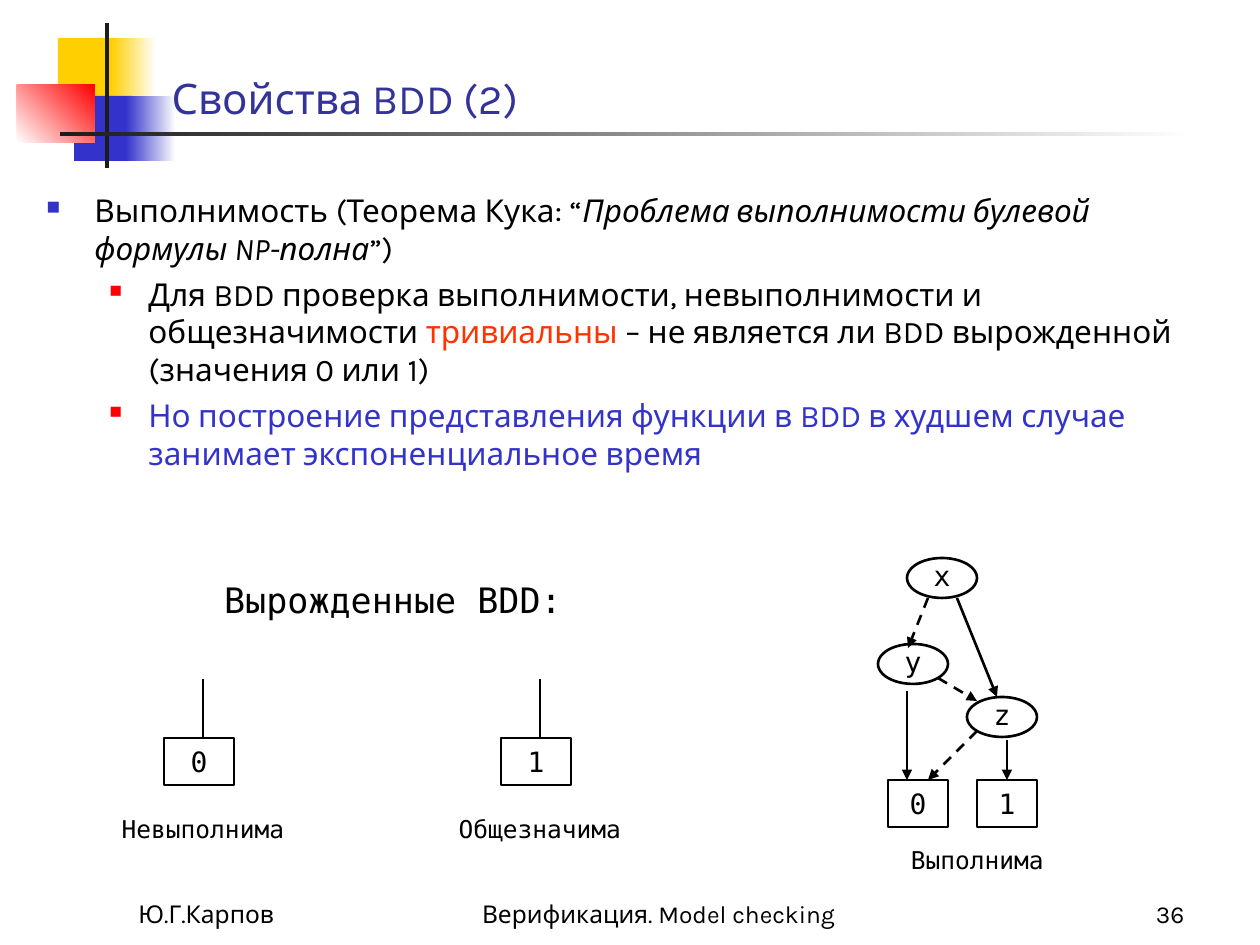
from lxml import etree
from pptx import Presentation
from pptx.dml.color import RGBColor
from pptx.enum.dml import MSO_LINE
from pptx.enum.shapes import MSO_CONNECTOR, MSO_SHAPE
from pptx.enum.text import MSO_ANCHOR, MSO_AUTO_SIZE, PP_ALIGN
from pptx.oxml.ns import qn
from pptx.util import Pt

PX = 914400 / 126
RECTANGLE, OVAL = MSO_SHAPE.RECTANGLE, MSO_SHAPE.OVAL
STRAIGHT, DASH = MSO_CONNECTOR.STRAIGHT, MSO_LINE.DASH
LEFT, CENTER, RIGHT = PP_ALIGN.LEFT, PP_ALIGN.CENTER, PP_ALIGN.RIGHT
TOP, BOTTOM = MSO_ANCHOR.TOP, MSO_ANCHOR.BOTTOM
NO_AUTOFIT = MSO_AUTO_SIZE.NONE

BLACK = RGBColor(0x00, 0x00, 0x00)
WHITE = RGBColor(0xFF, 0xFF, 0xFF)
CHARCOAL = RGBColor(0x1C, 0x1C, 0x1C)
YELLOW = RGBColor(0xFF, 0xCF, 0x01)
BLUE = RGBColor(0x33, 0x33, 0xCC)
NAVY = RGBColor(0x33, 0x33, 0x99)
RED = RGBColor(0xFF, 0x00, 0x00)
ORANGE = RGBColor(0xFF, 0x33, 0x00)

BODY_FONT, DIAGRAM_FONT = "Karla", "DejaVu Sans Mono"
LINE_WIDTH = Pt(1.5)
NODE_WIDTH, OVAL_HEIGHT, BOX_HEIGHT = 70, 40, 47


def px(*lengths):
    return [round(length * PX) for length in lengths]


def add_run(paragraph, text, size, font, color=BLACK, italic=False):
    run = paragraph.add_run()
    run.text = text
    run.font.size = Pt(size)
    run.font.name = font
    run.font.color.rgb = color
    run.font.italic = italic


def set_frame(shape, anchor):
    frame = shape.text_frame
    frame.word_wrap = True
    frame.auto_size = NO_AUTOFIT
    frame.vertical_anchor = anchor
    return frame


def write_text(shape, text, size, font, color=BLACK, align=CENTER, anchor=TOP):
    paragraph = set_frame(shape, anchor).paragraphs[0]
    paragraph.alignment = align
    add_run(paragraph, text, size, font, color)


def add_label(slide, box, text, size, font=DIAGRAM_FONT, align=CENTER, anchor=TOP):
    shape = slide.shapes.add_textbox(*px(*box))
    write_text(shape, text, size, font, align=align, anchor=anchor)


def add_block(slide, box, colors, angle=0):
    """Decorative block: one colour is solid, two make a gradient."""
    shape = slide.shapes.add_shape(RECTANGLE, *px(*box))
    shape.shadow.inherit = False
    shape.line.fill.background()
    if len(colors) == 1:
        shape.fill.solid()
        shape.fill.fore_color.rgb = colors[0]
    else:
        shape.fill.gradient()
        shape.fill.gradient_angle = angle
        for stop, color in zip(shape.fill.gradient_stops, colors):
            stop.color.rgb = color


def add_outline(slide, kind, box):
    shape = slide.shapes.add_shape(kind, *px(*box))
    shape.shadow.inherit = False
    shape.fill.background()
    shape.line.color.rgb = BLACK
    shape.line.width = LINE_WIDTH
    return shape


def add_terminal(slide, left, top, width, text):
    shape = add_outline(slide, RECTANGLE, (left, top, width, BOX_HEIGHT))
    write_text(shape, text, 16, DIAGRAM_FONT)


def add_variable(slide, left, top, text):
    add_outline(slide, OVAL, (left, top, NODE_WIDTH, OVAL_HEIGHT))
    add_label(slide, (left, top - 6, NODE_WIDTH, BOX_HEIGHT), text, 16)


def add_edge(slide, points, dashed=False, arrow=True):
    edge = slide.shapes.add_connector(STRAIGHT, *px(*points))
    edge.line.color.rgb = BLACK
    edge.line.width = LINE_WIDTH
    if dashed:
        edge.line.dash_style = DASH
    if arrow:
        line = edge.line._get_or_add_ln()
        etree.SubElement(line, qn("a:tailEnd"), type="triangle")
    etree.SubElement(edge._element.spPr, qn("a:effectLst"))


def add_bullet(paragraph, color, percent, margin, indent):
    properties = paragraph._p.get_or_add_pPr()
    properties.set("marL", str(px(margin)[0]))
    properties.set("indent", str(px(indent)[0]))
    bullet_color = etree.SubElement(properties, qn("a:buClr"))
    etree.SubElement(bullet_color, qn("a:srgbClr"), val=str(color))
    etree.SubElement(properties, qn("a:buSzPct"), val=str(percent * 1000))
    etree.SubElement(properties, qn("a:buChar"), char="■")


def add_body(slide, box, items):
    frame = set_frame(slide.shapes.add_textbox(*px(*box)), TOP)
    for index, (level, runs) in enumerate(items):
        paragraph = frame.add_paragraph() if index else frame.paragraphs[0]
        paragraph.level = level
        if level:
            add_bullet(paragraph, RED, 55, 102, -39)
        else:
            add_bullet(paragraph, BLUE, 60, 48, -48)
        if index:
            paragraph.space_before = Pt(4.5)
        for text, color, italic in runs:
            add_run(paragraph, text, 18, BODY_FONT, color, italic)


def add_degenerate_diagram(slide, left, value, caption):
    add_terminal(slide, left, 738, NODE_WIDTH, value)
    add_edge(slide, (left + 39, 679, left + 39, 738), arrow=False)
    add_label(slide, (left - 60, 808, 198, 43), caption, 14)


def add_decision_diagram(slide):
    for left, top, name in ((907, 558, "х"), (878, 644, "y"), (967, 697, "z")):
        add_variable(slide, left, top, name)
    for left, value in ((888, "0"), (977, "1")):
        add_terminal(slide, left, 780, 60, value)
    for points, dashed in (
        ((928, 598, 908, 648), True),
        ((957, 598, 997, 697), False),
        ((938, 678, 977, 701), True),
        ((1007, 740, 1007, 780), False),
        ((907, 691, 907, 780), False),
        ((977, 731, 928, 780), True),
    ):
        add_edge(slide, points, dashed)
    add_label(slide, (888, 839, 179, 43), "Выполнима", 14)


def main():
    presentation = Presentation()
    presentation.slide_width, presentation.slide_height = px(1260, 945)
    slide = presentation.slides.add_slide(presentation.slide_layouts[5])

    # Corner decoration and rule
    add_block(slide, (58, 38, 60, 66), [YELLOW])
    add_block(slide, (111, 38, 45, 66), [YELLOW, WHITE])
    add_block(slide, (74, 96, 58, 65), [BLUE])
    add_block(slide, (126, 96, 50, 65), [BLUE, WHITE])
    add_block(slide, (17, 85, 78, 58), [WHITE, RED], angle=45)
    add_block(slide, (105, 23, 4, 145), [CHARCOAL])
    add_block(slide, (60, 132, 1134, 4), [CHARCOAL, WHITE])

    # Title, above the decoration
    title = slide.shapes.title
    slide.shapes._spTree.append(title._element)
    title.left, title.top, title.width, title.height = px(159, 28, 1073, 101)
    write_text(title, "Свойства BDD (2)", 24, BODY_FONT, NAVY, LEFT, BOTTOM)

    # Body
    add_body(slide, (34, 185, 1205, 348), [
        (0, [("Выполнимость (Теорема Кука: “", BLACK, False),
             ("Проблема выполнимости булевой формулы NP-полна", BLACK, True),
             ("”)", BLACK, False)]),
        (1, [("Для BDD проверка выполнимости, невыполнимости и общезначимости ", BLACK, False),
             ("тривиальны", ORANGE, False),
             (" – не является ли BDD вырожденной (значения 0 или 1)", BLACK, False)]),
        (1, [("Но построение представления функции в BDD в худшем случае "
              "занимает экспоненциальное время", BLUE, False)]),
    ])

    # Diagrams
    add_label(slide, (105, 572, 576, 55), "Вырожденные BDD:", 20)
    add_degenerate_diagram(slide, 164, "0", "Невыполнима")
    add_degenerate_diagram(slide, 501, "1", "Общезначима")
    add_decision_diagram(slide)

    # Footer
    for left, width, text, align in (
        (126, 262, "Ю.Г.Карпов", LEFT),
        (462, 399, "Верификация. Model checking ", CENTER),
        (935, 262, "36", RIGHT),
    ):
        add_label(slide, (left, 872, width, 63), text, 14, BODY_FONT, align, BOTTOM)

    presentation.save("out.pptx")


if __name__ == "__main__":
    main()
